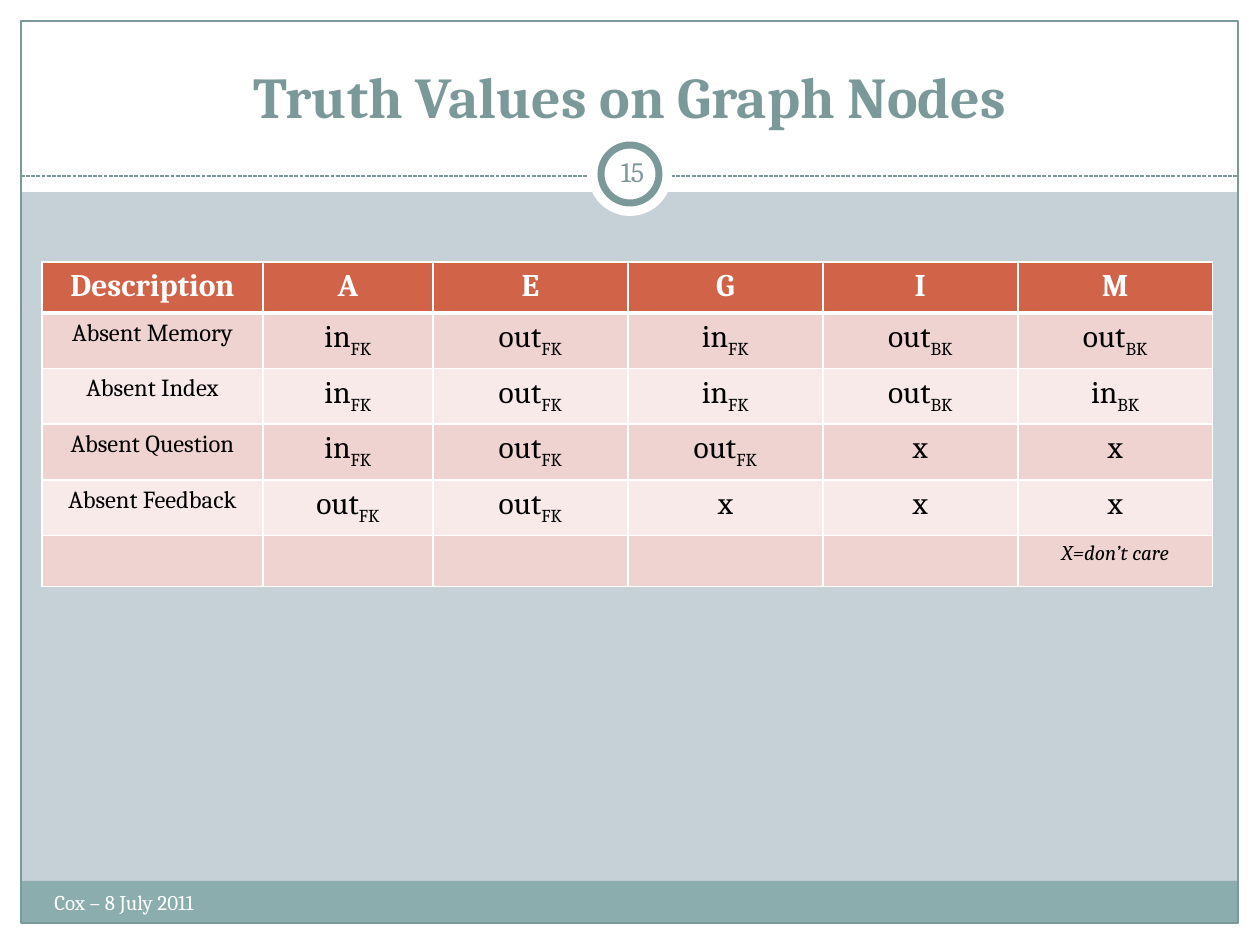
from dataclasses import dataclass
from lxml.etree import SubElement as Sub
from pptx import Presentation
from pptx.dml.color import RGBColor as RGB
from pptx.enum.dml import MSO_LINE as Dash
from pptx.enum.shapes import MSO_CONNECTOR as Link, MSO_SHAPE as Kind
from pptx.enum.text import MSO_ANCHOR as Anchor, MSO_AUTO_SIZE as Fit, PP_ALIGN as Align
from pptx.oxml.ns import qn
from pptx.util import Pt

PX = 914400 // 126


@dataclass(frozen=True)
class Theme:
    """Colours, font and type sizes of the slide."""
    font: str = "Cambria"
    back: str = "C5D1D7"
    white: str = "FFFFFF"
    black: str = "000000"
    teal: str = "7C999A"
    band: str = "8CADAE"
    head: str = "D16349"
    rows: tuple = ("EED3D0", "F7EAE9")
    title: int = 33
    cell: int = 18
    page: int = 16
    label: int = 14
    small: int = 12


T = Theme()
MARGINS = [(0, 924, 1260, 21), (0, 0, 1260, 192), (0, 0, 21, 945), (1239, 0, 21, 945)]
COLS = [221, 170, 195, 195, 195, 195]
ROW = 51
GRID = [
    ["Description", "A", "E", "G", "I", "M"],
    ["Absent Memory", "in_FK", "out_FK", "in_FK", "out_BK", "out_BK"],
    ["Absent Index", "in_FK", "out_FK", "in_FK", "out_BK", "in_BK"],
    ["Absent Question", "in_FK", "out_FK", "out_FK", "x", "x"],
    ["Absent Feedback", "out_FK", "out_FK", "x", "x", "x"],
    ["", "", "", "", "", "X=don’t care"],
]


def scale(*nums):
    """Turn px lengths into EMU."""
    return [n * PX for n in nums]


def paint(fill, hue):
    """Fill with one solid colour."""
    fill.solid()
    fill.fore_color.rgb = RGB.from_string(hue)


def shape(slide, kind, box, fill=None, line=None, width=0.75):
    """Add a flat preset shape."""
    item = slide.shapes.add_shape(kind, *scale(*box))
    item.shadow.inherit = False
    if fill:
        paint(item.fill, fill)
    else:
        item.fill.background()
    if line:
        paint(item.line.fill, line)
        item.line.width = Pt(width)
    else:
        item.line.fill.background()


def rule(slide, ends):
    """Add a thin dashed line."""
    item = slide.shapes.add_connector(Link.STRAIGHT, *scale(*ends))
    paint(item.line.fill, T.teal)
    item.line.width = Pt(0.75)
    item.line.dash_style = Dash.SQUARE_DOT
    Sub(item.element.spPr, qn("a:effectLst"))


def write(frame, text, size, hue, align=Align.CENTER, bold=False, italic=False):
    """Write one paragraph, with any part after an underscore set low."""
    para = frame.paragraphs[0]
    para.alignment = align
    font = para.font
    font.name, font.size, font.bold, font.italic = T.font, Pt(size), bold, italic
    font.color.rgb = RGB.from_string(hue)
    main, _, low = text.partition("_")
    para.add_run().text = main
    if low:
        run = para.add_run()
        run.text = low
        run._r.get_or_add_rPr().set("baseline", "-25000")


def label(slide, box, text, size, hue, align, anchor=Anchor.TOP, inset=None):
    """Add a wrapped text box."""
    frame = slide.shapes.add_textbox(*scale(*box)).text_frame
    frame.word_wrap = True
    frame.vertical_anchor = anchor
    if inset is not None:
        frame.margin_left = frame.margin_right = inset * PX
        frame.margin_top = frame.margin_bottom = inset * PX
    write(frame, text, size, hue, align)


def title(slide, box, text):
    """Place the title in front of the frame."""
    item = slide.shapes.title
    item.left, item.top, item.width, item.height = scale(*box)
    frame = item.text_frame
    frame.auto_size = Fit.NONE
    frame.word_wrap = True
    frame.vertical_anchor = Anchor.BOTTOM
    write(frame, text, T.title, T.teal, bold=True)
    item.element.getparent().append(item.element)


def edge(cell, top, base):
    """Draw white borders round a cell."""
    props = cell._tc.get_or_add_tcPr()
    for side, width in zip("LRTB", (1, 1, top, base)):
        line = Sub(props, qn(f"a:ln{side}"), w=str(Pt(width)))
        Sub(Sub(line, qn("a:solidFill")), qn("a:srgbClr"), val=T.white)


def table(slide, left, top):
    """Add the truth table."""
    box = scale(left, top, sum(COLS), ROW * len(GRID))
    grid = slide.shapes.add_table(len(GRID), len(COLS), *box).table
    grid.horz_banding = False
    for col, width in zip(grid.columns, COLS):
        col.width = width * PX
    for r, texts in enumerate(GRID):
        for c, text in enumerate(texts):
            cell = grid.cell(r, c)
            head, note = r == 0, r == len(GRID) - 1
            edge(cell, 3 if r == 1 else 1, 3 if head else 1)
            paint(cell.fill, T.head if head else T.rows[(r - 1) % 2])
            size = T.small if note else T.cell if head or c else T.label
            if text:
                hue = T.white if head else T.black
                write(cell.text_frame, text, size, hue, bold=head, italic=note)


def frame(slide):
    """Draw the margins, footer band, border and page ring."""
    for box in MARGINS:
        shape(slide, Kind.RECTANGLE, box, T.white)
    shape(slide, Kind.RECTANGLE, (21, 881, 1217, 43), T.band)
    shape(slide, Kind.RECTANGLE, (21, 21, 1217, 902), line=T.teal)
    rule(slide, (21, 176, 1239, 176))
    shape(slide, Kind.OVAL, (588, 132, 84, 84), T.white)
    shape(slide, Kind.OVAL, (601, 145, 58, 58), T.white, T.teal, 4)


def main():
    """Build and save the slide."""
    deck = Presentation()
    deck.slide_width, deck.slide_height = scale(1260, 945)
    slide = deck.slides.add_slide(deck.slide_layouts[5])
    paint(slide.background.fill, T.back)
    frame(slide)
    title(slide, (42, 32, 1176, 104), "Truth Values on Graph Nodes")
    label(slide, (42, 883, 494, 50), "Cox – 8 July 2011", T.small, T.white, Align.LEFT)
    label(slide, (601, 141, 63, 60), "15", T.page, T.teal, Align.CENTER, Anchor.MIDDLE, 6)
    table(slide, 42, 262)
    deck.save("out.pptx")


if __name__ == "__main__":
    main()
